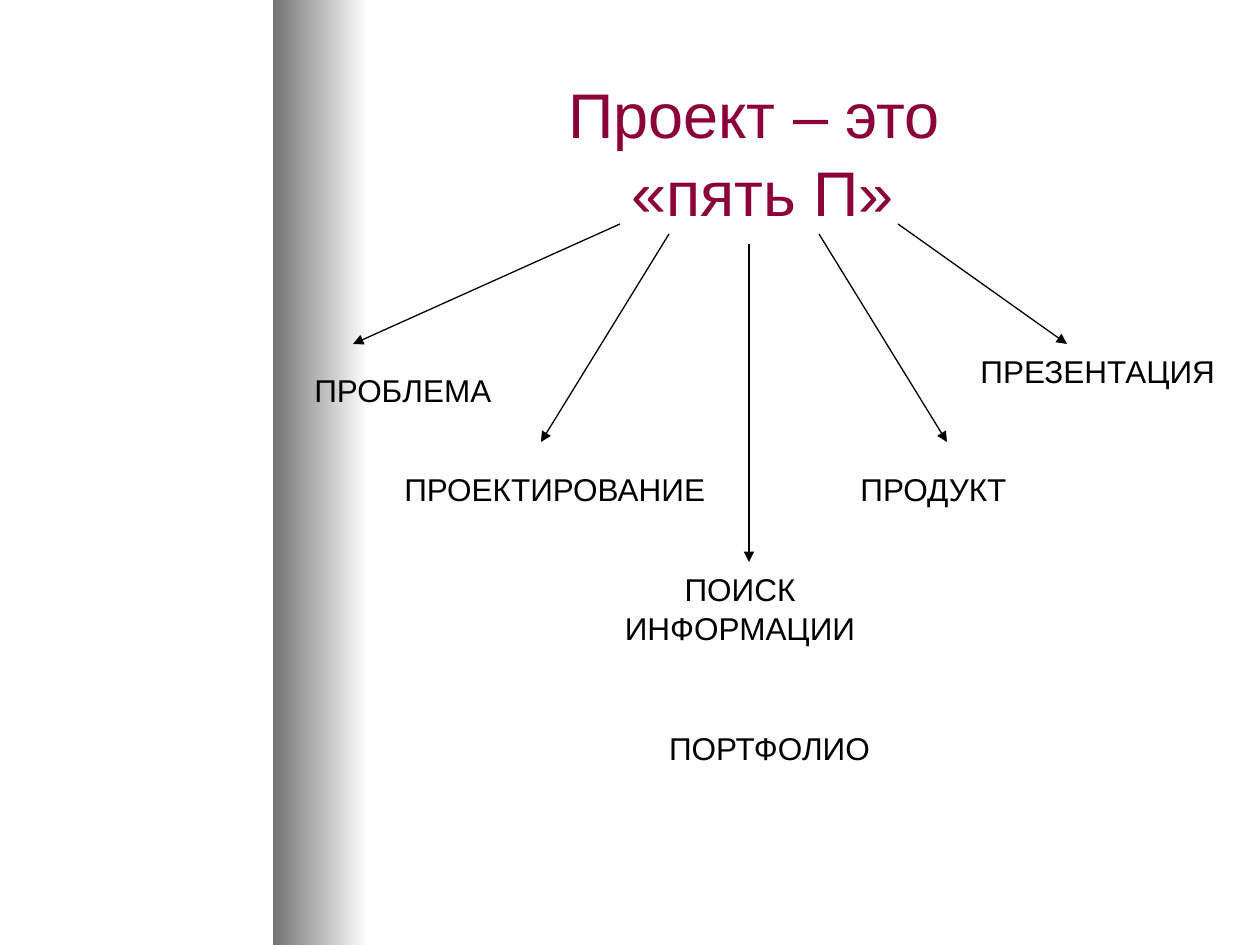
from lxml import etree
from pptx import Presentation
from pptx.dml.color import RGBColor
from pptx.enum.shapes import MSO_CONNECTOR, MSO_SHAPE
from pptx.enum.text import MSO_ANCHOR, MSO_AUTO_SIZE, PP_ALIGN
from pptx.oxml.ns import qn
from pptx.util import Pt

SCALE = 914400 / 126  # EMU in one px
LEFT, MID = PP_ALIGN.LEFT, PP_ALIGN.CENTER
TOP, GROW = MSO_ANCHOR.TOP, MSO_AUTO_SIZE.SHAPE_TO_FIT_TEXT
RECT, LINE = MSO_SHAPE.RECTANGLE, MSO_CONNECTOR.STRAIGHT
COLORS = {"title": "8C0039", "ink": "000000", "light": "FFFFFF", "dark": "737373"}


def emu(*vals):
    return [round(v * SCALE) for v in vals]


def color(name):
    return RGBColor.from_string(COLORS[name])


class Deck:
    font = "Arial"
    frame = {"word_wrap": True, "auto_size": GROW, "vertical_anchor": TOP}

    def __init__(self, wide, high):
        self.prs = Presentation()
        self.prs.slide_width, self.prs.slide_height = emu(wide, high)
        self.slide = self.prs.slides.add_slide(self.prs.slide_layouts[5])

    def fill_text(self, shape, text, size, ink, align):
        body = shape.text_frame
        body.text = text
        for key, val in self.frame.items():
            setattr(body, key, val)
        para = body.paragraphs[0]
        para.alignment, para.line_spacing = align, 1.04
        look = {"name": self.font, "size": Pt(size), "bold": False}
        for run in para.runs:
            for key, val in look.items():
                setattr(run.font, key, val)
            run.font.color.rgb = color(ink)

    def title(self, text, box):
        shape = self.slide.shapes.title
        shape.left, shape.top, shape.width, shape.height = emu(*box)
        self.fill_text(shape, text, 36, "title", MID)

    def label(self, text, box, align=LEFT):
        shape = self.slide.shapes.add_textbox(*emu(*box))
        self.fill_text(shape, text, 18, "ink", align)

    def band(self, box):
        shape = self.slide.shapes.add_shape(RECT, *emu(*box))
        shape.shadow.inherit = False
        shape.line.fill.background()
        shape.fill.gradient()
        shape.fill.gradient_angle = 180
        for stop, name in zip(shape.fill.gradient_stops, ("light", "dark")):
            stop.color.rgb = color(name)

    def arrow(self, start, end):
        line = self.slide.shapes.add_connector(LINE, *emu(*start, *end))
        line.line.width = Pt(0.75)
        line.line.color.rgb = color("ink")
        props = line._element.spPr
        etree.SubElement(props.find(qn("a:ln")), qn("a:tailEnd"), type="triangle")
        etree.SubElement(props, qn("a:effectLst"))


def main():
    deck = Deck(1260, 945)

    # Side band and title
    deck.band((273, 0, 95, 945))
    deck.title("Проект – это\v «пять П»", (481, 66, 546, 164))

    # Arrows fan out from the title
    for start, end in (
        ((620, 224), (353, 344)),
        ((669, 234), (541, 442)),
        ((749, 244), (749, 562)),
        ((819, 234), (947, 442)),
        ((898, 224), (1067, 344)),
    ):
        deck.arrow(start, end)

    # The P words
    for text, box, align in (
        ("ПРОБЛЕМА", (302, 363, 228, 50), LEFT),
        ("ПРОЕКТИРОВАНИЕ", (392, 462, 338, 50), LEFT),
        ("ПОИСК ИНФОРМАЦИИ", (561, 562, 358, 88), MID),
        ("ПРОДУКТ", (848, 462, 218, 50), LEFT),
        ("ПРЕЗЕНТАЦИЯ", (968, 344, 268, 50), LEFT),
        ("ПОРТФОЛИО", (551, 721, 437, 50), MID),
    ):
        deck.label(text, box, align)

    deck.prs.save("out.pptx")


if __name__ == "__main__":
    main()
